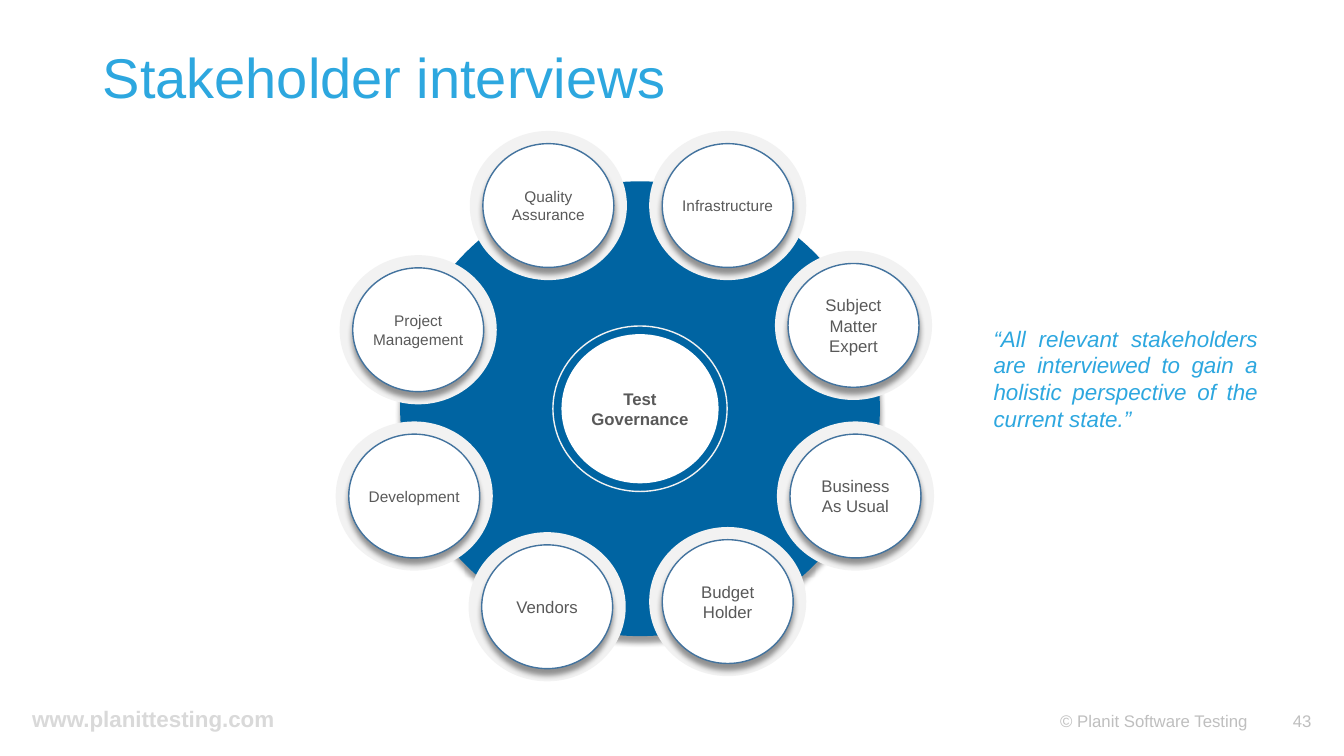
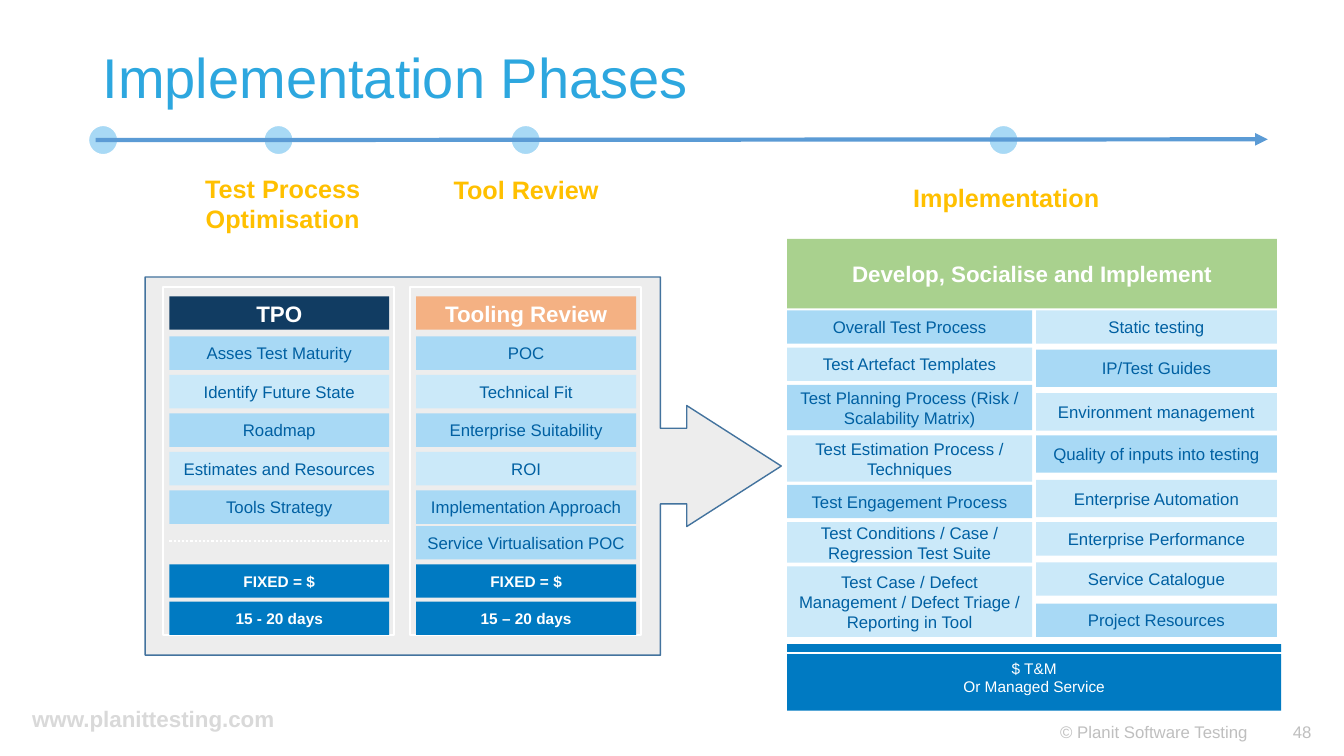
from dataclasses import dataclass
from typing import Optional

from lxml import etree
from pptx import Presentation
from pptx.dml.color import RGBColor
from pptx.enum.dml import MSO_LINE
from pptx.enum.shapes import MSO_CONNECTOR, MSO_SHAPE
from pptx.enum.text import MSO_ANCHOR, PP_ALIGN
from pptx.oxml.ns import qn
from pptx.shapes.autoshape import Shape
from pptx.shapes.connector import Connector
from pptx.slide import Slide
from pptx.util import Cm, Pt

ELLIPSE, RECTANGLE = MSO_SHAPE.OVAL, MSO_SHAPE.RECTANGLE
ARROW_CALLOUT = MSO_SHAPE.RIGHT_ARROW_CALLOUT
STRAIGHT, DOTTED = MSO_CONNECTOR.STRAIGHT, MSO_LINE.ROUND_DOT
LEFT, CENTER, RIGHT, JUSTIFY = PP_ALIGN.LEFT, PP_ALIGN.CENTER, PP_ALIGN.RIGHT, PP_ALIGN.JUSTIFY
TOP, MIDDLE = MSO_ANCHOR.TOP, MSO_ANCHOR.MIDDLE

FONT = "Arial"
WHITE = RGBColor(0xFF, 0xFF, 0xFF)
SKY = RGBColor(0x2D, 0xA7, 0xDF)
HUB_BLUE = RGBColor(0x00, 0x64, 0xA2)
TEXT_BLUE = RGBColor(0x00, 0x60, 0xA2)
BAR_BLUE = RGBColor(0x00, 0x7A, 0xC2)
OUTLINE_BLUE = RGBColor(0x43, 0x73, 0x9E)
TIMELINE_BLUE = RGBColor(0x5B, 0x9B, 0xD5)
NAVY = RGBColor(0x11, 0x3C, 0x62)
MID_BLUE = RGBColor(0xA8, 0xD9, 0xF5)
PALE_BLUE = RGBColor(0xCB, 0xE9, 0xF9)
ORANGE = RGBColor(0xF4, 0xB1, 0x83)
GREEN = RGBColor(0xA9, 0xD1, 0x8E)
GOLD = RGBColor(0xFF, 0xC0, 0x00)
DARK_GREY = RGBColor(0x59, 0x59, 0x59)
FOOTER_GREY = RGBColor(0xBF, 0xBF, 0xBF)
SITE_GREY = RGBColor(0xD9, 0xD9, 0xD9)
PANEL_GREY = RGBColor(0xED, 0xED, 0xED)
HALO_GREY = RGBColor(0xF2, 0xF2, 0xF2)


@dataclass(frozen=True)
class TextStyle:
    size: int
    color: RGBColor
    bold: bool = False
    italic: bool = False


TITLE = TextStyle(40, SKY)
SITE = TextStyle(16, SITE_GREY, bold=True)
FOOTER = TextStyle(12, FOOTER_GREY)
QUOTE = TextStyle(16, SKY, italic=True)
HUB = TextStyle(12, DARK_GREY, bold=True)
PHASE = TextStyle(18, GOLD, bold=True)
HEADING = TextStyle(16, WHITE, bold=True)
ACTIVITY = TextStyle(12, TEXT_BLUE)
PRICE = TextStyle(11, WHITE, bold=True)
SERVICE = TextStyle(11, WHITE)


@dataclass(frozen=True)
class Box:
    """A rectangle measured in centimetres."""
    left: float
    top: float
    width: float
    height: float

    @classmethod
    def around(cls, x: float, y: float, width: float, height: float) -> "Box":
        return cls(x - width / 2, y - height / 2, width, height)

    def lengths(self) -> tuple[Cm, Cm, Cm, Cm]:
        return Cm(self.left), Cm(self.top), Cm(self.width), Cm(self.height)


@dataclass(frozen=True)
class Stakeholder:
    name: str
    x: float
    y: float
    size: int


@dataclass(frozen=True)
class Activity:
    text: str
    top: float
    fill: RGBColor
    height: float = 0.84


@dataclass(frozen=True)
class Column:
    heading: str
    fill: RGBColor
    left: float
    activities: list[str]
    duration: str


@dataclass(frozen=True)
class PhaseLabel:
    text: str
    box: Box


HUB_X, HUB_Y = 16.13, 10.3
STAKEHOLDERS = [
    Stakeholder("Quality Assurance", 13.82, 5.18, 11),
    Stakeholder("Infrastructure", 18.34, 5.18, 11),
    Stakeholder("Project Management", 10.54, 8.31, 11),
    Stakeholder("Subject\nMatter Expert", 21.51, 8.2, 12),
    Stakeholder("Development", 10.44, 12.5, 11),
    Stakeholder("Business\nAs Usual", 21.56, 12.5, 12),
    Stakeholder("Vendors", 13.79, 15.29, 12),
    Stakeholder("Budget Holder", 18.34, 15.16, 12),
]

TIMELINE_Y = 3.53
MILESTONES = [2.6, 7.02, 13.25, 25.29]
PHASE_LABELS = [
    PhaseLabel("Test Process\nOptimisation", Box(4.9, 4.24, 4.45, 1.8)),
    PhaseLabel("Tool Review", Box(11.15, 4.27, 4.22, 1.02)),
    PhaseLabel("Implementation", Box(22.73, 4.47, 5.26, 1.02)),
]
COLUMN_WIDTH, BAR_HEIGHT = 5.54, 0.84
COLUMNS = [
    Column("TPO", NAVY, 4.27,
           ["Asses Test Maturity", "Identify Future State", "Roadmap",
            "Estimates and Resources", "Tools Strategy"], "15 - 20 days"),
    Column("Tooling Review", ORANGE, 10.49,
           ["POC", "Technical Fit", "Enterprise Suitability", "ROI",
            "Implementation Approach"], "15 – 20 days"),
]
PROCESS_ACTIVITIES = [
    Activity("Overall Test Process", 7.82, MID_BLUE),
    Activity("Test Artefact Templates", 8.76, PALE_BLUE),
    Activity("Test Planning Process (Risk / Scalability Matrix)", 9.7, MID_BLUE, 1.14),
    Activity("Test Estimation Process / Techniques", 10.97, PALE_BLUE, 1.17),
    Activity("Test Engagement Process", 12.22, MID_BLUE),
    Activity("Test Conditions / Case / Regression Test Suite", 13.16, PALE_BLUE, 1.02),
    Activity("Test Case / Defect Management / Defect Triage / Reporting in Tool",
             14.27, PALE_BLUE, 1.78),
]
SUPPORT_ACTIVITIES = [
    Activity("Static testing", 7.82, PALE_BLUE),
    Activity("IP/Test Guides", 8.81, MID_BLUE, 0.94),
    Activity("Environment management", 9.91, PALE_BLUE, 0.94),
    Activity("Quality of inputs into testing", 10.97, MID_BLUE, 0.94),
    Activity("Enterprise Automation", 12.09, PALE_BLUE, 0.94),
    Activity("Enterprise Performance", 13.16, PALE_BLUE),
    Activity("Service Catalogue", 14.17, PALE_BLUE),
    Activity("Project Resources", 15.21, MID_BLUE),
]


def write(shape: Shape, text: str, style: TextStyle, alignment: PP_ALIGN = CENTER,
          anchor: MSO_ANCHOR = MIDDLE, wrap: bool = True) -> None:
    """Fill a shape with one paragraph per line of text."""
    frame = shape.text_frame
    frame.text = text
    frame.word_wrap = wrap
    frame.vertical_anchor = anchor
    for paragraph in frame.paragraphs:
        paragraph.alignment = alignment
        font = paragraph.font
        font.name, font.size = FONT, Pt(style.size)
        font.bold, font.italic = style.bold, style.italic
        font.color.rgb = style.color


def add_text(slide: Slide, box: Box, text: str, style: TextStyle, alignment: PP_ALIGN = LEFT,
             anchor: MSO_ANCHOR = MIDDLE, wrap: bool = True) -> Shape:
    shape = slide.shapes.add_textbox(*box.lengths())
    write(shape, text, style, alignment, anchor, wrap)
    return shape


def add_shape(slide: Slide, kind: MSO_SHAPE, box: Box, fill: Optional[RGBColor] = None,
              line: Optional[RGBColor] = None, line_width: float = 1) -> Shape:
    shape = slide.shapes.add_shape(kind, *box.lengths())
    shape.shadow.inherit = False
    if fill is None:
        shape.fill.background()
    else:
        shape.fill.solid()
        shape.fill.fore_color.rgb = fill
    if line is None:
        shape.line.fill.background()
    else:
        shape.line.color.rgb = line
        shape.line.width = Pt(line_width)
    return shape


def add_bar(slide: Slide, box: Box, text: str, fill: RGBColor, style: TextStyle) -> None:
    write(add_shape(slide, RECTANGLE, box, fill), text, style)


def add_line(slide: Slide, start: tuple[float, float], end: tuple[float, float],
             color: RGBColor, width: float) -> Connector:
    connector = slide.shapes.add_connector(
        STRAIGHT, Cm(start[0]), Cm(start[1]), Cm(end[0]), Cm(end[1]))
    connector.line.color.rgb = color
    connector.line.width = Pt(width)
    etree.SubElement(connector.element.spPr, qn("a:effectLst"))
    return connector


def drop_shadow(shape: Shape) -> None:
    effects = shape.element.spPr.find(qn("a:effectLst"))
    distance = str(Pt(4))
    shadow = etree.SubElement(effects, qn("a:outerShdw"), blurRad=distance, dist=distance,
                              dir="5400000", algn="t", rotWithShape="0")
    color = etree.SubElement(shadow, qn("a:srgbClr"), val="000000")
    etree.SubElement(color, qn("a:alpha"), val="40000")


def remove_margins(shape: Shape) -> None:
    frame = shape.text_frame
    frame.margin_left = frame.margin_right = frame.margin_top = frame.margin_bottom = 0


def add_base_slide(presentation: Presentation, title: str, number: int,
                   footer_top: float) -> Slide:
    """Add a blank slide with the shared title, web address and footer."""
    slide = presentation.slides.add_slide(presentation.slide_layouts[6])
    add_text(slide, Box(0.56, 17.65, 15.94, 0.94), "www.planittesting.com", SITE, anchor=TOP)
    heading = add_text(slide, Box(2.34, 1.02, 29.21, 2.01), title, TITLE)
    heading.text_frame.paragraphs[0].line_spacing = 0.9
    add_text(slide, Box(26.47, footer_top, 6.83, 1.02), "© Planit Software Testing", FOOTER)
    add_text(slide, Box(32, footer_top, 1.3, 1.02), str(number), FOOTER, RIGHT)
    return slide


def add_stakeholder(slide: Slide, stakeholder: Stakeholder) -> None:
    x, y = stakeholder.x, stakeholder.y
    add_shape(slide, ELLIPSE, Box.around(x, y, 3.96, 3.76), HALO_GREY)
    disc = add_shape(slide, ELLIPSE, Box.around(x, y, 3.3, 3.12), WHITE, OUTLINE_BLUE)
    drop_shadow(disc)
    remove_margins(disc)
    write(disc, stakeholder.name, TextStyle(stakeholder.size, DARK_GREY))


def build_interviews(presentation: Presentation) -> None:
    slide = add_base_slide(presentation, "Stakeholder interviews", 43, 17.65)
    drop_shadow(add_shape(slide, ELLIPSE, Box.around(HUB_X, HUB_Y, 12.09, 11.46), HUB_BLUE))
    add_text(slide, Box(24.79, 3.3, 7.16, 12.47),
             "“All relevant stakeholders are interviewed to gain a holistic perspective "
             "of the current state.”", QUOTE, JUSTIFY)
    hub = add_shape(slide, ELLIPSE, Box.around(HUB_X, HUB_Y, 3.96, 3.76), WHITE)
    remove_margins(hub)
    write(hub, "Test Governance", HUB)
    add_shape(slide, ELLIPSE, Box.around(HUB_X, HUB_Y, 4.39, 4.17), line=HALO_GREY)
    for stakeholder in STAKEHOLDERS:
        add_stakeholder(slide, stakeholder)


def add_activities(slide: Slide, left: float, width: float, activities: list[Activity]) -> None:
    for activity in activities:
        box = Box(left, activity.top, width, activity.height)
        add_bar(slide, box, activity.text, activity.fill, ACTIVITY)


def add_column(slide: Slide, column: Column) -> None:
    add_shape(slide, RECTANGLE, Box(column.left - 0.15, 7.24, 5.82, 8.76),
              line=WHITE, line_width=1.5)
    activities = [Activity(text, 8.48 + 0.97 * row, PALE_BLUE if row % 2 else MID_BLUE)
                  for row, text in enumerate(column.activities)]
    add_activities(slide, column.left, COLUMN_WIDTH, activities)
    for text, top, fill, style in [(column.heading, 7.47, column.fill, HEADING),
                                   ("FIXED = $", 14.22, BAR_BLUE, PRICE),
                                   (column.duration, 15.16, BAR_BLUE, PRICE)]:
        add_bar(slide, Box(column.left, top, COLUMN_WIDTH, BAR_HEIGHT), text, fill, style)


def build_phases(presentation: Presentation) -> None:
    slide = add_base_slide(presentation, "Implementation Phases", 48, 17.93)
    callout = add_shape(slide, ARROW_CALLOUT, Box(3.66, 6.98, 16.03, 9.53),
                        PANEL_GREY, OUTLINE_BLUE)
    for index, value in enumerate([0.2, 0.16, 0.25, 0.81]):
        callout.adjustments[index] = value

    for x in MILESTONES:
        add_shape(slide, ELLIPSE, Box.around(x, TIMELINE_Y, 0.74, 0.74), MID_BLUE, WHITE)
    timeline = add_line(slide, (2.41, TIMELINE_Y), (31.95, 3.51), TIMELINE_BLUE, 3)
    etree.SubElement(timeline.line.fill._xPr, qn("a:tailEnd"), type="triangle")
    for label in PHASE_LABELS:
        add_text(slide, label.box, label.text, PHASE, CENTER, TOP, wrap=False)

    for column in COLUMNS:
        add_column(slide, column)
    review, tooling = COLUMNS
    add_activities(slide, tooling.left, COLUMN_WIDTH,
                   [Activity("Service Virtualisation POC", 13.26, MID_BLUE)])
    divider = add_line(slide, (review.left, 13.64), (review.left + COLUMN_WIDTH, 13.64), WHITE, 1.5)
    divider.line.dash_style = DOTTED

    add_bar(slide, Box(19.84, 6.02, 12.34, 1.75), "Develop, Socialise and Implement",
            GREEN, HEADING)
    add_activities(slide, 19.84, 6.17, PROCESS_ACTIVITIES)
    add_activities(slide, 26.11, 6.07, SUPPORT_ACTIVITIES)
    add_bar(slide, Box(19.84, 16.23, 12.45, 1.68), "$ T&M\nOr Managed Service",
            BAR_BLUE, SERVICE)
    add_shape(slide, RECTANGLE, Box(19.74, 5.89, 12.6, 10.57), line=WHITE, line_width=1.5)


def main() -> None:
    presentation = Presentation()
    presentation.slide_width, presentation.slide_height = Cm(33.87), Cm(19.05)
    build_interviews(presentation)
    build_phases(presentation)
    presentation.save("out.pptx")


if __name__ == "__main__":
    main()
